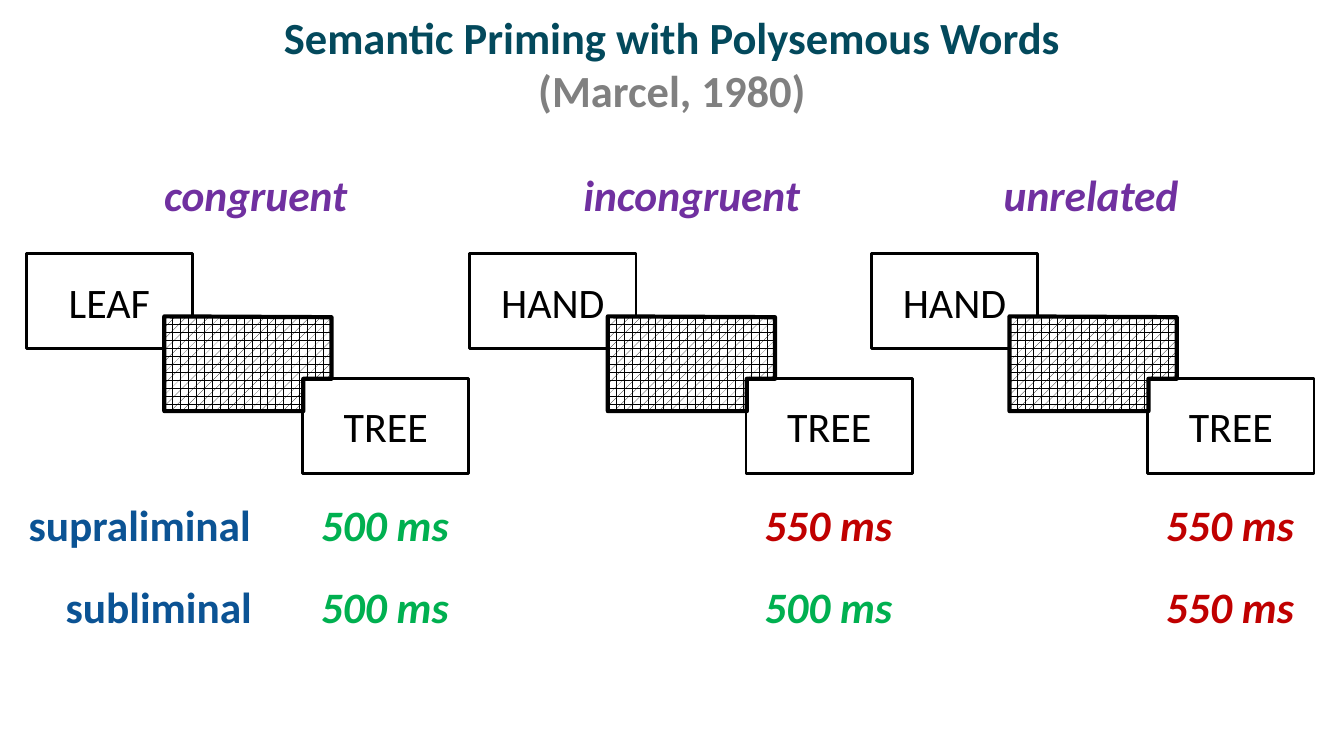
"""Build the slide on semantic priming with polysemous words."""
from pptx import Presentation
from pptx.dml.color import RGBColor
from pptx.enum.dml import MSO_PATTERN
from pptx.enum.shapes import MSO_SHAPE
from pptx.enum.text import MSO_ANCHOR, MSO_AUTO_SIZE, PP_ALIGN
from pptx.util import Pt

COLORS = {
    "title": "03495C",
    "citation": "808080",
    "condition": "7030A0",
    "threshold": "0B5394",
    "fast": "00B050",
    "slow": "C00000",
    "black": "000000",
    "white": "FFFFFF",
}
CARD_WIDTH, CARD_HEIGHT = 118.8, 67.7
CARD_TOP = 181.4
STEP_X, STEP_Y = 98.7, 44.6
RESULT_OFFSET = 203.5
LABEL_HEIGHT = 44.6
LABEL_RIGHT = 187.9


def add_run(paragraph, text, color, size, bold=True, italic=False):
    run = paragraph.add_run()
    run.text = text
    run.font.name = "Calibri"
    run.font.size = Pt(size)
    run.font.bold = bold
    run.font.italic = italic
    run.font.color.rgb = RGBColor.from_string(COLORS[color])


def add_label(text, left, top, width, color, italic=True, align=PP_ALIGN.LEFT):
    box = slide.shapes.add_textbox(Pt(left), Pt(top), Pt(width), Pt(LABEL_HEIGHT))
    frame = box.text_frame
    frame.word_wrap = False
    frame.auto_size = MSO_AUTO_SIZE.SHAPE_TO_FIT_TEXT
    paragraph = frame.paragraphs[0]
    paragraph.alignment = align
    add_run(paragraph, text, color, 31, italic=italic)


presentation = Presentation()
presentation.slide_width = Pt(960)
presentation.slide_height = Pt(540)
slide = presentation.slides.add_slide(presentation.slide_layouts[5])

title = slide.shapes.title
title.left, title.top, title.width, title.height = Pt(48), Pt(12), Pt(864), Pt(66)
title.text_frame.auto_size = MSO_AUTO_SIZE.NONE
title.text_frame.vertical_anchor = MSO_ANCHOR.MIDDLE
heading = title.text_frame.paragraphs[0]
heading.alignment = PP_ALIGN.CENTER
add_run(heading, "Semantic Priming with Polysemous Words", "title", 31.8)
heading.add_line_break()
add_run(heading, "(Marcel, 1980)", "citation", 31.8)

conditions = [
    ("congruent", 110.2, 146.9, 18.7, "LEAF", ["500 ms", "500 ms"]),
    ("incongruent", 409.7, 170.6, 335.5, "HAND", ["550 ms", "500 ms"]),
    ("unrelated", 709.9, 141.1, 622.4, "HAND", ["550 ms", "550 ms"]),
]
result_tops = [352.1, 411.1]

for name, name_left, name_width, left, prime, times in conditions:
    add_label(name, name_left, 116.6, name_width, "condition")

    for word, step in [(prime, 0), ("TREE", 2)]:
        card = slide.shapes.add_shape(
            MSO_SHAPE.RECTANGLE,
            Pt(left + step * STEP_X), Pt(CARD_TOP + step * STEP_Y),
            Pt(CARD_WIDTH), Pt(CARD_HEIGHT),
        )
        card.shadow.inherit = False
        card.fill.solid()
        card.fill.fore_color.rgb = RGBColor.from_string(COLORS["white"])
        card.line.color.rgb = RGBColor.from_string(COLORS["black"])
        card.line.width = Pt(2)
        card.text_frame.vertical_anchor = MSO_ANCHOR.MIDDLE
        paragraph = card.text_frame.paragraphs[0]
        paragraph.alignment = PP_ALIGN.CENTER
        add_run(paragraph, word, "black", 30, bold=False)

    mask_left, mask_top = left + STEP_X, CARD_TOP + STEP_Y
    mask_right, mask_bottom = mask_left + CARD_WIDTH + 0.6, mask_top + CARD_HEIGHT
    notch_left, notch_top = left + 2 * STEP_X, CARD_TOP + 2 * STEP_Y
    builder = slide.shapes.build_freeform(Pt(mask_left), Pt(mask_top))
    corners = [
        (mask_left, mask_bottom),
        (notch_left + 0.6, mask_bottom),
        (notch_left + 0.6, notch_top),
        (mask_right, notch_top),
        (mask_right, mask_top + 0.6),
    ]
    builder.add_line_segments([(Pt(x), Pt(y)) for x, y in corners], close=True)
    mask = builder.convert_to_shape()
    mask.shadow.inherit = False
    mask.fill.patterned()
    mask.fill.pattern = MSO_PATTERN.PLAID
    mask.fill.fore_color.rgb = RGBColor.from_string(COLORS["black"])
    mask.fill.back_color.rgb = RGBColor.from_string(COLORS["white"])
    mask.line.color.rgb = RGBColor.from_string(COLORS["black"])
    mask.line.width = Pt(3)

    for time, top in zip(times, result_tops):
        color = "fast" if time == "500 ms" else "slow"
        add_label(time, left + RESULT_OFFSET, top, 106.6, color)

thresholds = [("supraliminal", 176.4), ("subliminal", 149)]
for (threshold, width), top in zip(thresholds, result_tops):
    add_label(threshold, LABEL_RIGHT - width, top, width, "threshold",
              italic=False, align=PP_ALIGN.CENTER)

presentation.save("out.pptx")
